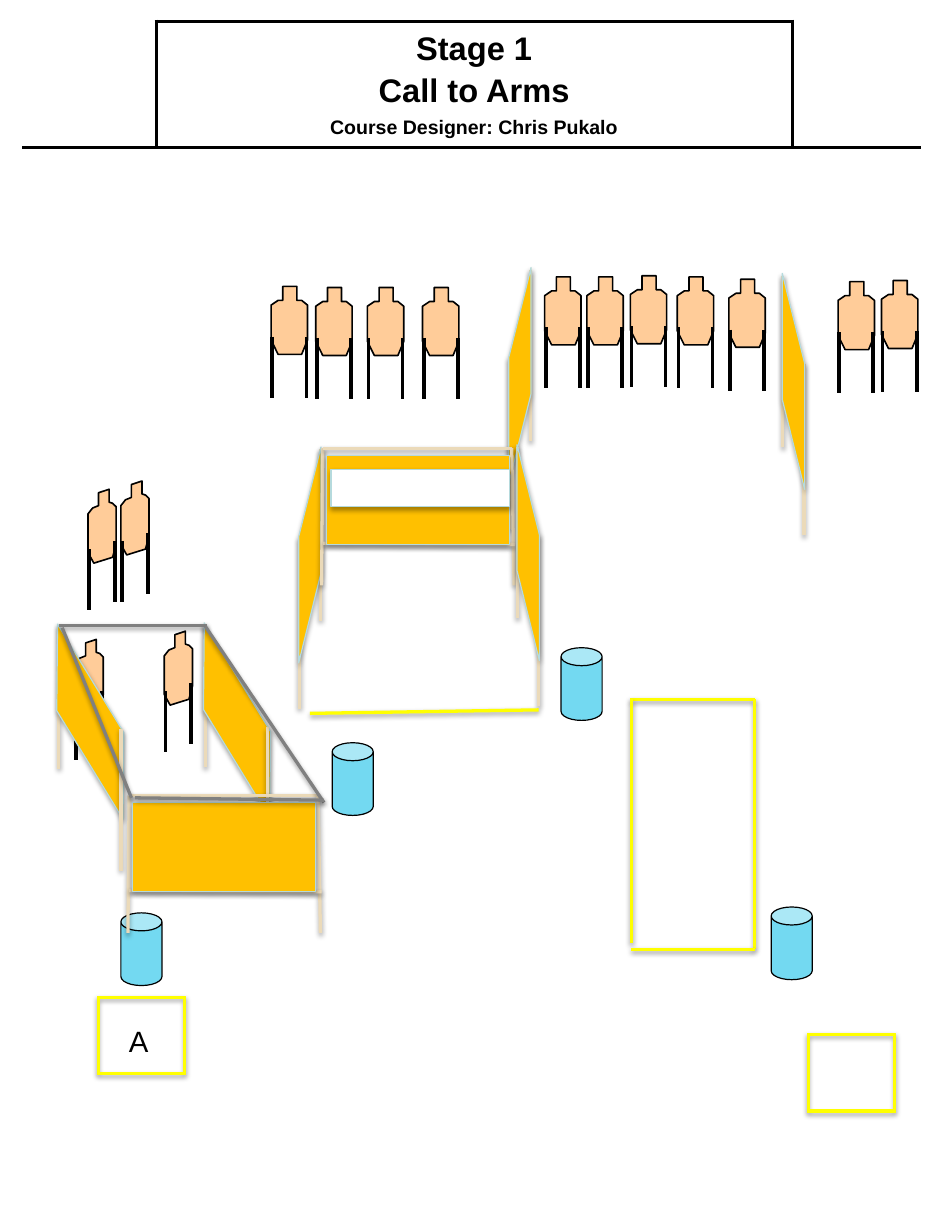
from lxml import etree
from pptx import Presentation
from pptx import util as u
from pptx.dml.color import RGBColor
from pptx.enum import shapes, text
from pptx.oxml.ns import qn

BLACK = RGBColor(0x00, 0x00, 0x00)
WHITE = RGBColor(0xFF, 0xFF, 0xFF)
ORANGE = RGBColor(0xFF, 0xC0, 0x00)
PALE_BLUE = RGBColor(0xB5, 0xDA, 0xDD)
POST = RGBColor(0xEB, 0xDA, 0xB9)
SKIN = RGBColor(0xFF, 0xCC, 0x99)
WATER = RGBColor(0x73, 0xD9, 0xF1)
YELLOW = RGBColor(0xFF, 0xFF, 0x00)
GREY = RGBColor(0x80, 0x80, 0x80)

UPRIGHT = {
    "legs": [(0.01, 0.43), (0.3, 0.43)],
    "outline": [(0.1, 0), (0.22, 0), (0.22, 0.12), (0.26, 0.12), (0.31, 0.16), (0.31, 0.46),
                (0.26, 0.58), (0.06, 0.58), (0, 0.46), (0, 0.16), (0.06, 0.12), (0.1, 0.12)],
}
SLANTED = {
    "legs": [(0.01, 0.51), (0.23, 0.44)],
    "outline": [(0.09, 0.03), (0.18, 0), (0.18, 0.11), (0.21, 0.12), (0.24, 0.15), (0.24, 0.47),
                (0.21, 0.58), (0.05, 0.63), (0, 0.54), (0, 0.21), (0.04, 0.16), (0.09, 0.14)],
}


def length(inches):
    """Return a length given in inches."""
    return u.Cm(inches * 2.54)


def apply(target, values):
    """Set each named attribute of the target."""
    for name, value in values.items():
        setattr(target, name, value)


class Stage:
    """Holds the style and the current slide, and draws each kind of element."""

    def __init__(self, slide):
        self.slide = slide
        self.font = {"name": "Arial"}
        self.shadow = {"blurRad": "39370", "dist": "20320", "dir": "5400000", "rotWithShape": "0"}

    def group(self):
        return self.slide.shapes.add_group_shape().shapes

    def effect(self, shape, opacity):
        effects = etree.SubElement(shape._element.spPr, qn("a:effectLst"))
        if opacity:
            outer = etree.SubElement(effects, qn("a:outerShdw"), self.shadow)
            color = etree.SubElement(outer, qn("a:srgbClr"), val="000000")
            etree.SubElement(color, qn("a:alpha"), val=str(opacity * 1000))

    def finish(self, shape, fill, line, width, opacity=0):
        shape.fill.solid()
        shape.fill.fore_color.rgb = fill
        shape.line.color.rgb = line
        shape.line.width = u.Pt(width)
        self.effect(shape, opacity)

    def line(self, start, end, color, container=None, width=2, opacity=38):
        container = container or self.slide.shapes
        ends = [length(value) for value in (*start, *end)]
        connector = container.add_connector(shapes.MSO_CONNECTOR.STRAIGHT, *ends)
        connector.line.color.rgb = color
        connector.line.width = u.Pt(width)
        self.effect(connector, opacity)

    def shape(self, kind, box, fill, line, container=None, adjust=None, opacity=35):
        container = container or self.slide.shapes
        shape = container.add_shape(kind, *map(length, box))
        if adjust is not None:
            shape.adjustments[0] = adjust
        self.finish(shape, fill, line, 0.75, opacity)
        return shape

    def add_words(self, paragraph, words, size, bold=False):
        run = paragraph.add_run()
        run.text = words
        apply(run.font, {**self.font, "size": u.Pt(size), "bold": bold})
        run.font.color.rgb = BLACK

    def border(self, cell, edges):
        properties = cell._tc.get_or_add_tcPr()
        for index, edge in enumerate("LRTB"):
            line = etree.Element(qn("a:ln" + edge), w=str(u.Pt(2.25)))
            if edge in edges:
                solid = etree.SubElement(line, qn("a:solidFill"))
                etree.SubElement(solid, qn("a:srgbClr"), val=str(BLACK))
            else:
                etree.SubElement(line, qn("a:noFill"))
            properties.insert(index, line)

    def heading(self, rows):
        frame = self.slide.shapes.add_table(1, 3, *map(length, (0.19, 0.18, 7.66, 1.08)))
        table = frame.table
        apply(table, {"first_row": False, "horz_banding": False})
        for column, width, edges in zip(range(3), (1.14, 5.42, 1.1), ("RB", "LRTB", "LB")):
            table.columns[column].width = length(width)
            cell = table.cell(0, column)
            cell.fill.solid()
            cell.fill.fore_color.rgb = WHITE
            self.border(cell, edges)
        cell = table.cell(0, 1)
        margins = ("margin_left", "margin_top", "margin_right", "margin_bottom")
        apply(cell, dict.fromkeys(margins, length(0.05)))
        cell.vertical_anchor = text.MSO_ANCHOR.MIDDLE
        for index, (words, size, space) in enumerate(rows):
            frame = cell.text_frame
            paragraph = frame.add_paragraph() if index else frame.paragraphs[0]
            apply(paragraph, {"alignment": text.PP_ALIGN.CENTER, "space_before": u.Pt(space)})
            self.add_words(paragraph, words, size, True)

    def label(self, words, box):
        frame = self.slide.shapes.add_textbox(*map(length, box)).text_frame
        apply(frame, {"word_wrap": True, "auto_size": text.MSO_AUTO_SIZE.SHAPE_TO_FIT_TEXT})
        self.add_words(frame.paragraphs[0], words, 18)

    def target(self, x, y, form=UPRIGHT):
        group = self.group()
        for dx, dy in form["legs"]:
            foot = (x + dx, y + dy + 0.52)
            self.line((x + dx, y + dy), foot, BLACK, group, 2.25, 0)
        points = [(length(x + dx), length(y + dy)) for dx, dy in form["outline"]]
        builder = group.build_freeform(*points[0], scale=1.0)
        builder.add_line_segments(points[1:], close=True)
        self.finish(builder.convert_to_shape(), SKIN, BLACK, 1)

    def panel(self, group, x, y, size, angle, flip, adjust):
        width, height = size
        box = (x - width / 2, y - height / 2, width, height)
        kind = shapes.MSO_SHAPE.PARALLELOGRAM
        shape = self.shape(kind, box, ORANGE, PALE_BLUE, group, adjust)
        shape.rotation = angle
        if flip:
            shape._element.spPr.xfrm.set("flipH", "1")

    def side_wall(self, x, y, left):
        group = self.group()
        near = -0.09 if left else 0.09
        for dx, dy in ((near, -0.15), (-near, -0.9)):
            self.line((x + dx, y + dy), (x + dx, y + dy + 1.46), POST, group)
        self.panel(group, x, y, (1.84, 0.19), 90 if left else 270, left, 4.026)

    def slanted_wall(self, x, y):
        group = self.group()
        self.line((x - 0.27, y - 0.82), (x - 0.27, y + 0.4), POST, group)
        self.panel(group, x, y, (1.71, 0.39), 58.6, True, 1.605)
        self.line((x + 0.26, y + 0.06), (x + 0.26, y + 1.27), POST, group)

    def front_wall(self, x, y):
        group = self.group()
        rails = [((0, 0), (-0.01, 1.17)), ((0, 0), (1.61, 0)),
                 ((1.61, 0), (1.63, 1.17)), ((0, 0.81), (1.64, 0.82))]
        for (x1, y1), (x2, y2) in rails:
            self.line((x + x1, y + y1), (x + x2, y + y2), POST, group)
        box = (x + 0.03, y + 0.06, 1.56, 0.76)
        self.shape(shapes.MSO_SHAPE.RECTANGLE, box, ORANGE, PALE_BLUE, group)

    def barrel(self, x, y):
        self.shape(shapes.MSO_SHAPE.CAN, (x, y, 0.35, 0.62), WATER, BLACK, None, 0.439, 0)

    def start_box(self, x, y):
        self.shape(shapes.MSO_SHAPE.FRAME, (x, y, 0.75, 0.67), YELLOW, YELLOW, None, 0.028)


def main():
    """Build the stage diagram."""
    presentation = Presentation()
    apply(presentation, {"slide_width": length(8), "slide_height": length(10.5)})
    stage = Stage(presentation.slides.add_slide(presentation.slide_layouts[6]))
    stage.heading([("Stage 1", 20, 0), ("Call to Arms", 20, 4),
                   ("Course Designer: Chris Pukalo", 12, 4.2)])
    stage.side_wall(4.43, 3.2, True)
    stage.target(0.64, 5.45, SLANTED)
    stage.start_box(0.83, 8.49)
    stage.label("A", (1, 8.67, 2.67, 0.4))
    stage.barrel(1.03, 7.78)
    for x, y in ((2.02, 6.14), (0.77, 6.15)):
        stage.slanted_wall(x, y)
    for x, y in ((1.03, 4.1), (0.75, 4.17), (1.4, 5.38)):
        stage.target(x, y, SLANTED)
    stage.front_wall(1.1, 6.78)
    for start, end in (((0.5, 5.33), (1.76, 5.33)), ((1.75, 5.34), (2.76, 6.84)),
                       ((0.53, 5.35), (1.12, 6.8)), ((2.76, 6.82), (1.15, 6.8))):
        stage.line(start, end, GREY)
    stage.side_wall(2.64, 4.73, True)
    stage.front_wall(2.75, 3.82)
    stage.side_wall(4.5, 4.71, False)
    stage.shape(shapes.MSO_SHAPE.RECTANGLE, (2.82, 4, 1.52, 0.32), WHITE, PALE_BLUE)
    stage.line((2.64, 6.08), (4.59, 6.05), YELLOW)
    for x, y in ((2.83, 6.33), (6.57, 7.73), (4.78, 5.52)):
        stage.barrel(x, y)
    for x, y in ((2.31, 2.44), (3.6, 2.45), (3.13, 2.45), (2.69, 2.45), (5.77, 2.36),
                 (5.37, 2.35), (5, 2.36), (4.64, 2.36), (7.14, 2.4), (7.51, 2.39)):
        stage.target(x, y)
    stage.start_box(6.88, 8.81)
    stage.side_wall(6.76, 3.25, False)
    for start, end in (((5.37, 5.96), (6.43, 5.96)), ((5.38, 5.96), (5.38, 8.04)),
                       ((6.43, 5.96), (6.43, 8.09)), ((6.43, 8.09), (5.38, 8.09))):
        stage.line(start, end, YELLOW)
    stage.target(6.21, 2.38)
    presentation.save("out.pptx")


if __name__ == "__main__":
    main()
